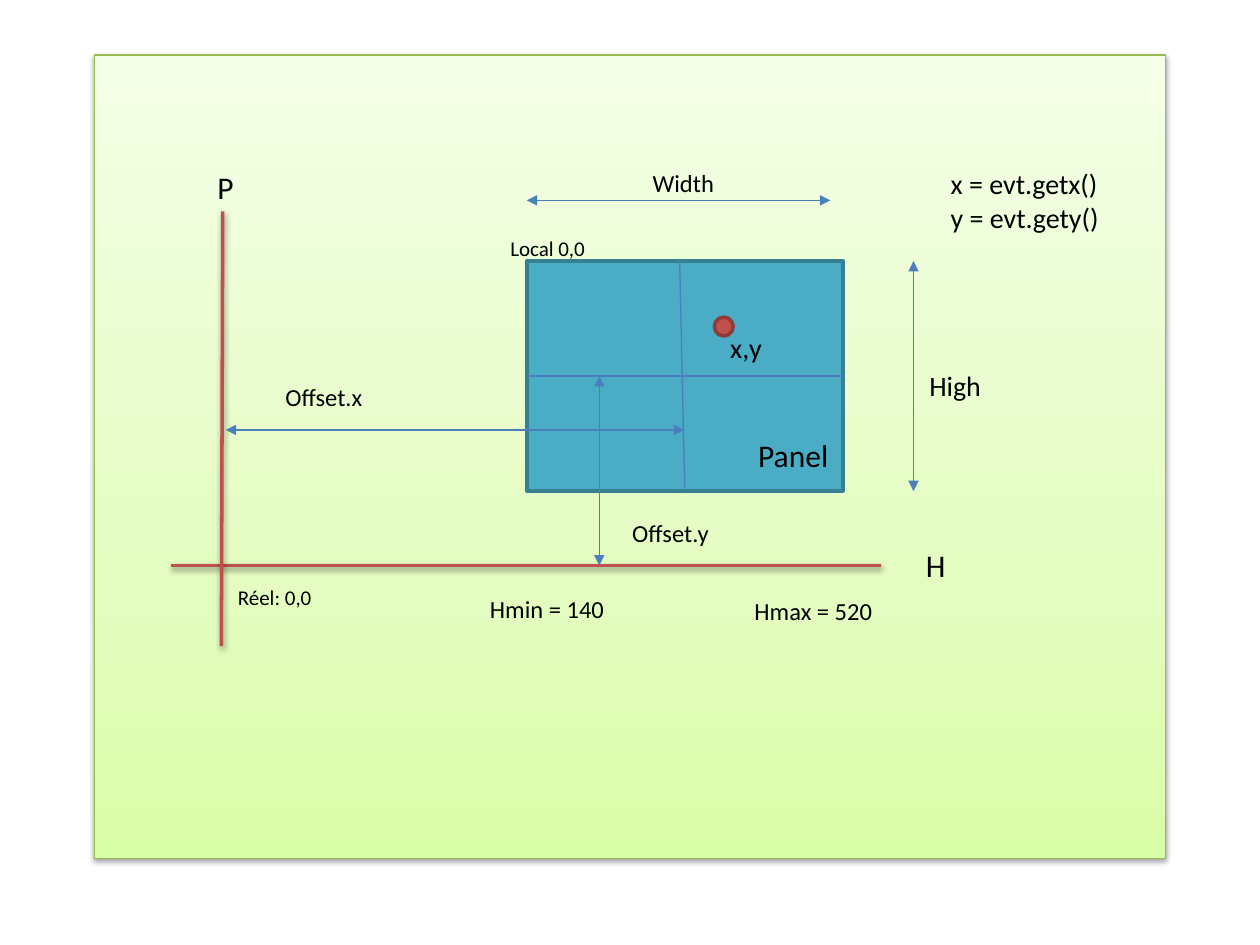
"""Builds a slide that shows a panel's offset and size on the P and H axes."""
from copy import deepcopy
from lxml import etree
from pptx import Presentation
from pptx.dml.color import RGBColor
from pptx.enum.shapes import MSO_CONNECTOR, MSO_SHAPE
from pptx.enum.text import MSO_AUTO_SIZE
from pptx.oxml.ns import qn
from pptx.util import Pt

STRAIGHT = MSO_CONNECTOR.STRAIGHT
RECT, OVAL = MSO_SHAPE.RECTANGLE, MSO_SHAPE.OVAL
GROW = MSO_AUTO_SIZE.SHAPE_TO_FIT_TEXT
FONT = "Calibri"
HEX = {
    "low": "DAFDA7", "mid": "E4FCC2", "high": "F5FFE7", "rim": "98B955",
    "panel": "4BACC6", "edge": "377F92", "axis": "C0504D", "ring": "8E3B39",
    "arrow": "4B7EBC", "text": "000000",
}
RGB = {name: RGBColor.from_string(code) for name, code in HEX.items()}


def add_shadow(effects):
    shade = etree.SubElement(effects, qn("a:outerShdw"), blurRad=str(Pt(3.15)),
                             dist=str(Pt(1.57)), dir="5400000", rotWithShape="0")
    color = etree.SubElement(shade, qn("a:srgbClr"), val=HEX["text"])
    etree.SubElement(color, qn("a:alpha"), val="38000")


def add_line(ends, color, width, arrows=False):
    line = slide.shapes.add_connector(STRAIGHT, *map(Pt, ends))
    line.line.color.rgb = RGB[color]
    line.line.width = Pt(width)
    if arrows:
        for end in ("a:headEnd", "a:tailEnd"):
            etree.SubElement(line.line._get_or_add_ln(), qn(end), type="triangle")
    effects = etree.SubElement(line._element.spPr, qn("a:effectLst"))
    return line, effects


deck = Presentation()
deck.slide_width, deck.slide_height = Pt(720), Pt(540)
slide = deck.slides.add_slide(deck.slide_layouts[6])

shapes = []
for kind, box, fill, rim, width in [
    (RECT, (54, 31.5, 612, 459), "low", "rim", 0.75),
    (RECT, (301, 149.2, 180.6, 131.4), "panel", "edge", 2),
    (OVAL, (408.2, 181.2, 10.8, 10.8), "axis", "ring", 2),
]:
    shape = slide.shapes.add_shape(kind, *map(Pt, box))
    shape.shadow.inherit = False
    shape.fill.solid()
    shape.fill.fore_color.rgb = RGB[fill]
    shape.line.color.rgb = RGB[rim]
    shape.line.width = Pt(width)
    shapes.append(shape)
back, panel, dot = shapes

back.fill.gradient()
back.fill.gradient_angle = 90
stops = back._element.spPr.find(qn("a:gradFill")).find(qn("a:gsLst"))
stops.append(deepcopy(stops[-1]))
for stop, spot, name in zip(back.fill.gradient_stops, (0, 0.35, 1),
                            ("low", "mid", "high")):
    stop.position = spot
    stop.color.rgb = RGB[name]
add_shadow(back._element.spPr.find(qn("a:effectLst")))

for ends in [(503.3, 323.2, 97.9, 323.2), (127.3, 120.8, 126.5, 369.2)]:
    axis, effects = add_line(ends, "axis", 2)
    add_shadow(effects)

across, _ = add_line((301, 214.9, 481.6, 214.9), "arrow", 0.75)
across.begin_connect(panel, 1)
across.end_connect(panel, 3)
down, _ = add_line((388.4, 149.2, 391.3, 280.6), "arrow", 0.75)
down.end_connect(panel, 2)

for ends in [
    (522, 149.2, 522, 280.6),
    (301, 114.5, 474.5, 114.5),
    (391, 245.7, 129, 245.7),
    (342.5, 214.9, 342.5, 323.2),
]:
    add_line(ends, "arrow", 0.75, arrows=True)

for text, size, box, wrap in [
    ("Panel", 18, (426.2, 245.8, 54.7, 29), False),
    ("H", 18, (522, 308.2, 25.9, 29), False),
    ("P", 18, (117.2, 92.5, 23.8, 29), False),
    ("x = evt.getx()\ny = evt.gety()", 16, (536.2, 91.8, 103.7, 46), False),
    ("Réel: 0,0", 12, (128.9, 330.7, 57.6, 21.8), False),
    ("Local 0,0", 12, (284.5, 131.2, 57.6, 21.8), False),
    ("x,y", 16, (410.2, 185.4, 33.1, 26.6), False),
    ("High", 16, (524, 207, 67, 26.6), True),
    ("Width", 14, (365.8, 92.5, 53.3, 24.2), True),
    ("Offset.x", 14, (156, 214.9, 90.7, 24.2), True),
    ("Offset.y", 14, (354.2, 292.5, 88.6, 24.2), True),
    ("Hmin = 140", 14, (272.9, 335.7, 90.7, 24.2), True),
    ("Hmax = 520", 14, (424, 337, 90.7, 24.2), True),
]:
    frame = slide.shapes.add_textbox(*map(Pt, box)).text_frame
    frame.text = text
    frame.word_wrap = wrap
    frame.auto_size = GROW
    for para in frame.paragraphs:
        para.font.name = FONT
        para.font.size = Pt(size)
        para.font.color.rgb = RGB["text"]

deck.save("out.pptx")
